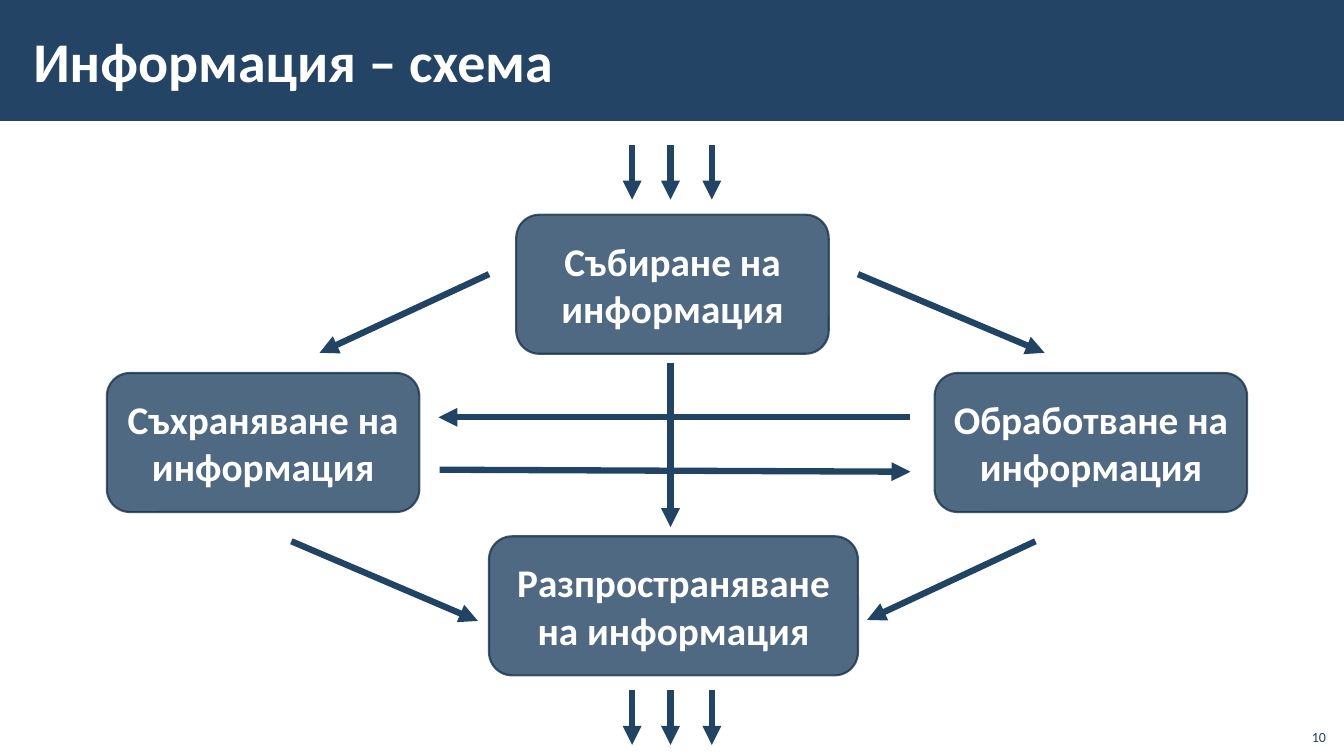
import pptx
import pptx.util
import pptx.dml.color
import pptx.enum.shapes
import pptx.enum.text
import pptx.oxml.ns
from lxml import etree

Inches = pptx.util.Inches
Pt = pptx.util.Pt
SHAPE = pptx.enum.shapes.MSO_SHAPE
ANCHOR = pptx.enum.text.MSO_ANCHOR
ALIGN = pptx.enum.text.PP_ALIGN
qn = pptx.oxml.ns.qn

COLORS = {"band": "234465", "edge": "1A334C", "arrow": "214364", "text": "FFFFFF"}
FONT = "Calibri"


def color(name):
    return pptx.dml.color.RGBColor.from_string(COLORS[name])


def write(shape, text, size, tint, bold, align, anchor):
    frame = shape.text_frame
    frame.text = text
    frame.word_wrap = True
    frame.vertical_anchor = anchor
    para = frame.paragraphs[0]
    para.alignment = align
    font = para.runs[0].font
    font.name, font.size, font.bold = FONT, Pt(size), bold
    font.color.rgb = color(tint)
    return frame


def fade(shape, percent):
    """Make the fill and the outline of a shape partly transparent."""
    for node in shape._element.spPr.iter(qn("a:srgbClr")):
        etree.SubElement(node, qn("a:alpha"), val=str(percent * 1000))


def add_header(slide, left, top, width, height):
    band = slide.shapes.add_shape(SHAPE.RECTANGLE, Inches(left), Inches(top),
                                  Inches(width), Inches(height))
    band.shadow.inherit = False
    band.fill.solid()
    band.fill.fore_color.rgb = color("band")
    band.line.fill.background()
    slide.shapes._spTree.insert(2, band._element)

    title = slide.shapes.title
    title.left, title.top = Inches(left + 0.21), Inches(top + 0.11)
    title.width, title.height = Inches(11.23), Inches(0.97)
    frame = write(title, "Информация – схема", 40, "text", True,
                  ALIGN.LEFT, ANCHOR.MIDDLE)
    frame.margin_left = frame.margin_right = Inches(0.12)
    frame.margin_top = frame.margin_bottom = Inches(0.04)


def add_step(slide, text, left, top, width):
    step = slide.shapes.add_shape(SHAPE.ROUNDED_RECTANGLE, Inches(left), Inches(top),
                                  Inches(width), Inches(1.38))
    step.shadow.inherit = False
    step.fill.solid()
    step.fill.fore_color.rgb = color("band")
    step.line.color.rgb = color("edge")
    step.line.width = Pt(1.5)
    fade(step, 80)
    write(step, text, 28, "text", True, ALIGN.CENTER, ANCHOR.MIDDLE)


def add_arrow(slide, x1, y1, x2, y2):
    arrow = slide.shapes.add_connector(pptx.enum.shapes.MSO_CONNECTOR.STRAIGHT,
                                       Inches(x1), Inches(y1), Inches(x2), Inches(y2))
    arrow.line.color.rgb = color("arrow")
    arrow.line.width = Pt(4.5)
    etree.SubElement(arrow.line._get_or_add_ln(), qn("a:tailEnd"), type="triangle")
    etree.SubElement(arrow._element.spPr, qn("a:effectLst"))


def add_scheme(slide, left, top):
    """Place the four steps and their arrows from the given corner."""
    steps = [("Събиране на информация", 4.06, 0.69, 3.1),
             ("Съхраняване на информация", 0, 2.26, 3.1),
             ("Обработване на информация", 8.21, 2.26, 3.1),
             ("Разпространяване на информация", 3.79, 3.88, 3.66)]
    for text, x, y, width in steps:
        add_step(slide, text, left + x, top + y, width)

    flows = [(x, y, x, y + 0.54) for y in (0, 5.41) for x in (5.21, 5.59, 6)]
    flows += [(3.79, 1.28, 2.11, 2.06), (7.45, 1.28, 9.3, 2.06),
              (5.59, 2.16, 5.59, 3.79),
              (1.83, 3.93, 3.68, 4.72), (9.21, 3.93, 7.54, 4.71),
              (7.97, 2.7, 3.29, 2.7), (3.3, 3.22, 7.97, 3.24)]
    for x1, y1, x2, y2 in flows:
        add_arrow(slide, left + x1, top + y1, left + x2, top + y2)


def add_number(slide, left, top, width, height):
    box = slide.shapes.add_textbox(Inches(left), Inches(top),
                                   Inches(width), Inches(height))
    write(box, "10", 10, "band", False, ALIGN.RIGHT, ANCHOR.BOTTOM)


def main():
    prs = pptx.Presentation()
    prs.slide_width, prs.slide_height = Inches(13.33), Inches(7.5)
    slide = prs.slides.add_slide(prs.slide_layouts[5])
    add_header(slide, 0, 0, 13.33, 1.2)
    add_scheme(slide, 1.06, 1.44)
    add_number(slide, 12.85, 7.12, 0.4, 0.32)
    prs.save("out.pptx")


if __name__ == "__main__":
    main()
